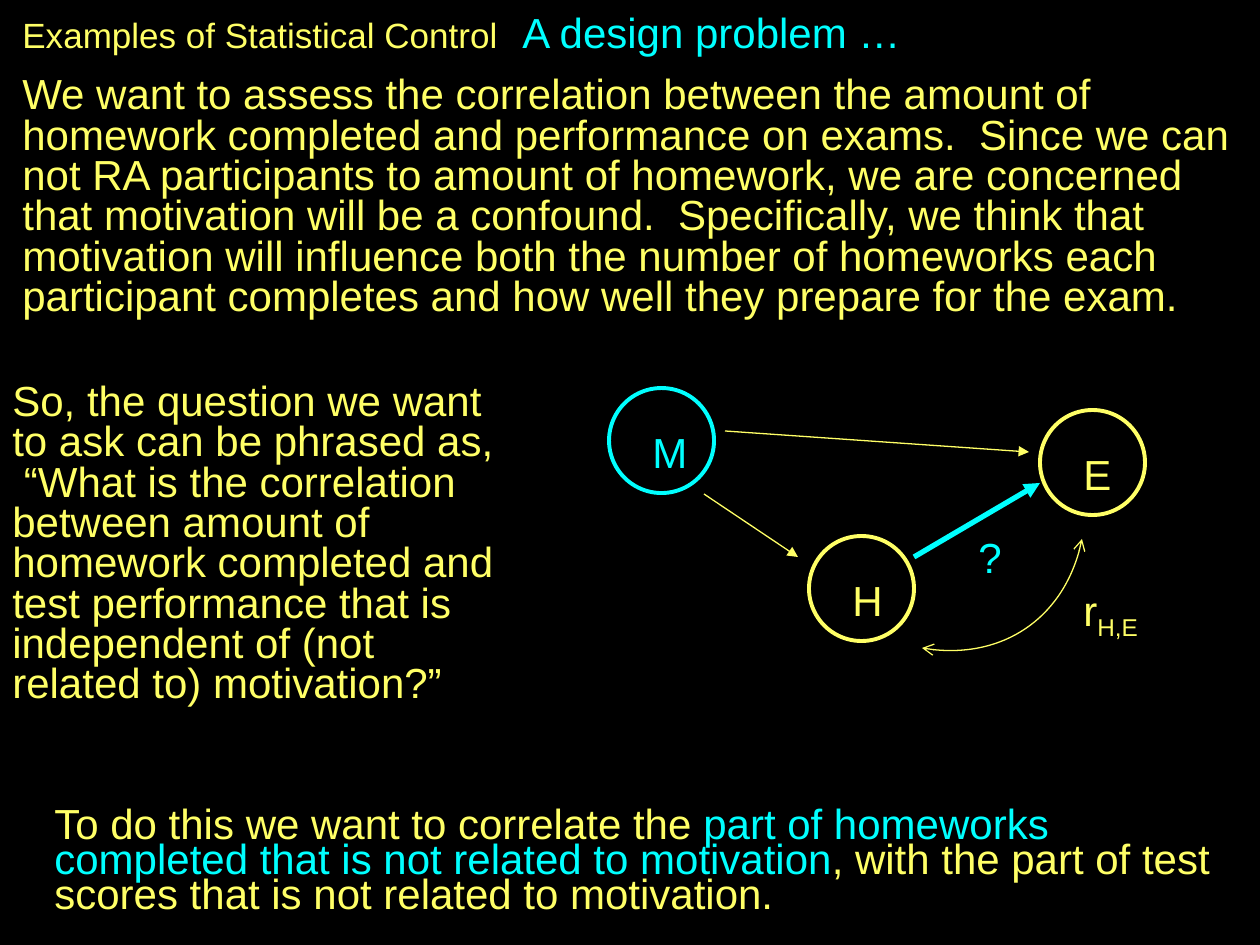
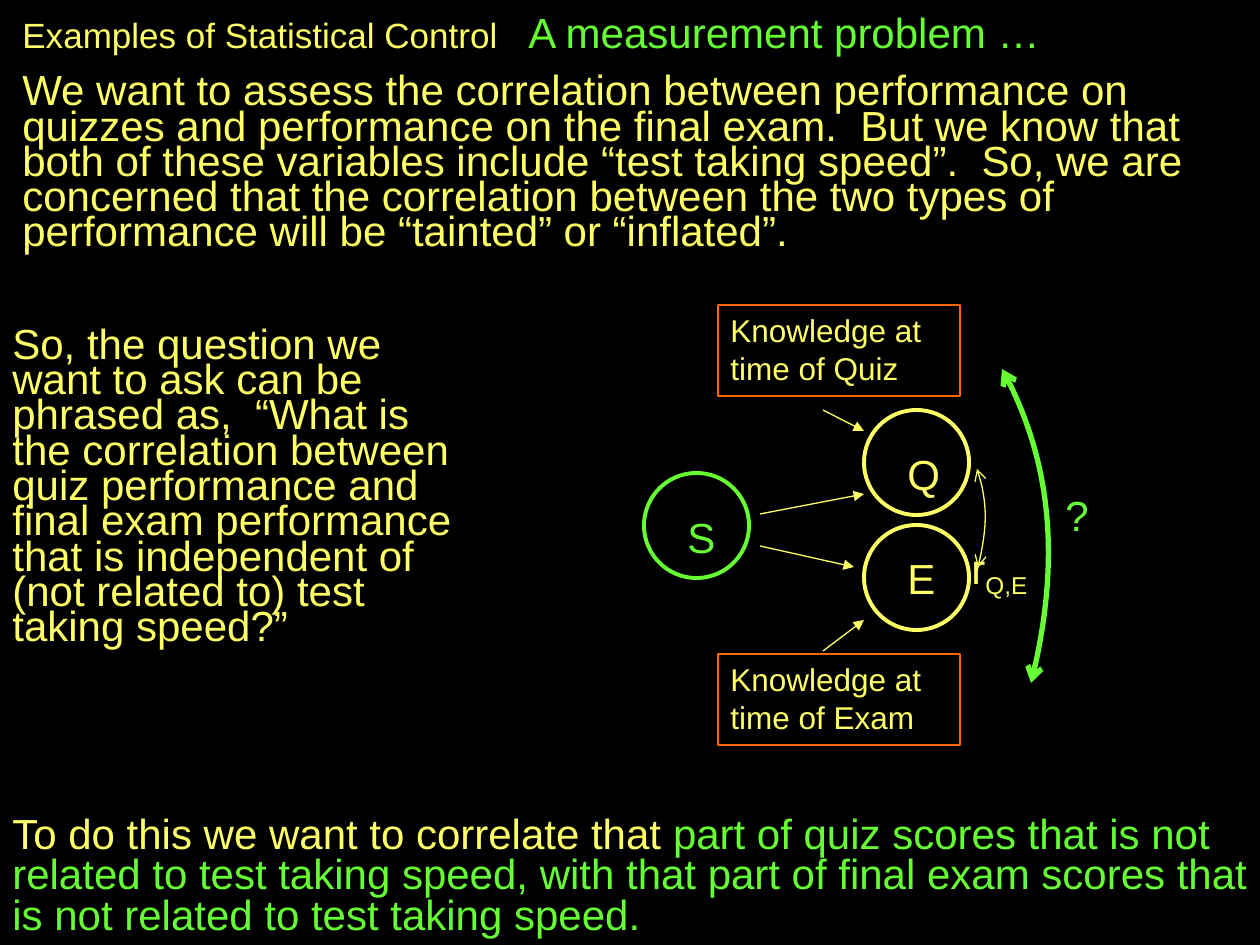
from dataclasses import dataclass, field
from typing import Any

from pptx import Presentation
from pptx import util as u
from pptx.dml.color import RGBColor
from pptx.enum import shapes, text
from pptx.oxml.ns import qn
from lxml import etree

SCALE = 914400 / 126
WIDTH, HEIGHT = 1260, 945
CIRCLE = 105
COLORS = {
    "black": "000000",
    "yellow": "FFFF66",
    "cyan": "00FFFF",
    "green": "66FF33",
    "orange": "FF6600",
}


def px(length):
    return u.Emu(round(length * SCALE))


def color(name):
    return RGBColor.from_string(COLORS[name])


def write(para, words, size=24, ink="yellow", baseline=0):
    span = para.add_run()
    span.text = words
    span.font.name = "Arial"
    span.font.size = u.Pt(size)
    span.font.color.rgb = color(ink)
    if baseline:
        span.font._element.set("baseline", str(baseline * 1000))


@dataclass
class Sheet:
    deck: Any
    accent: str = "cyan"
    page: Any = field(default=None)

    def start(self, accent):
        self.accent = accent
        self.page = self.deck.slides.add_slide(self.deck.slide_layouts[6])
        self.page.background.fill.solid()
        self.page.background.fill.fore_color.rgb = color("black")

    def frame(self, box):
        body = box.text_frame
        body.word_wrap = True
        body.auto_size = text.MSO_AUTO_SIZE.SHAPE_TO_FIT_TEXT
        body.vertical_anchor = text.MSO_ANCHOR.TOP
        para = body.paragraphs[0]
        para.alignment = text.PP_ALIGN.LEFT
        return para

    def box(self, left, top, width, height, spacing=None):
        box = self.page.shapes.add_textbox(px(left), px(top), px(width), px(height))
        para = self.frame(box)
        para.line_spacing = spacing
        return para

    def heading(self, title, stop, intro, spacing, height):
        para = self.box(10, 0, 1250, height)
        tabs = etree.SubElement(para._p.get_or_add_pPr(), qn("a:tabLst"))
        etree.SubElement(tabs, qn("a:tab"), pos=str(px(stop)), algn="l")
        write(para, "Examples of Statistical Control\t", size=20)
        write(para, title, ink=self.accent)
        body = self.page.shapes[-1].text_frame.add_paragraph()
        body.line_spacing = spacing
        body.space_before = u.Pt(12)
        write(body, intro)

    def outline(self, kind, left, top, width, height, ink, weight):
        shape = self.page.shapes.add_shape(
            kind, px(left), px(top), px(width), px(height))
        shape.shadow.inherit = False
        shape.fill.background()
        shape.line.color.rgb = color(ink)
        shape.line.width = u.Pt(weight)
        return shape

    def variable(self, letter, left, top, ink="yellow", drop=32):
        self.outline(shapes.MSO_SHAPE.OVAL, left, top, CIRCLE, CIRCLE, ink, 2.25)
        write(self.box(left + 31, top + drop, 42, 63), letter, ink=ink)

    def knowledge(self, words, top):
        shape = self.outline(
            shapes.MSO_SHAPE.RECTANGLE, 718, top, 242, 91, "orange", 1.5)
        write(self.frame(shape), words, size=18)

    def correlation(self, pair, left, top, width):
        para = self.box(left, top, width, 63)
        write(para, "r")
        write(para, pair, baseline=-25)

    def stroke(self, shape, ink, weight, **ends):
        shape.line.color.rgb = color(ink)
        shape.line.width = u.Pt(weight)
        line = shape._element.spPr.find(qn("a:ln"))
        for end, style in ends.items():
            etree.SubElement(line, qn(f"a:{end}"), type=style)

    def arrow(self, start, end, ink="yellow", weight=0.75):
        line = self.page.shapes.add_connector(
            shapes.MSO_CONNECTOR.STRAIGHT, *map(px, start + end))
        self.stroke(line, ink, weight, tailEnd="triangle")
        etree.SubElement(line._element.spPr, qn("a:effectLst"))

    def curve(self, start, *points, ink="yellow", weight=0.75):
        builder = self.page.shapes.build_freeform(*start, scale=SCALE)
        builder.add_line_segments(points, close=False)
        shape = builder.convert_to_shape()
        path = shape._element.find(".//" + qn("a:path"))
        bezier = etree.SubElement(path, qn("a:cubicBezTo"))
        for segment in path.findall(qn("a:lnTo")):
            bezier.append(segment[0])
            path.remove(segment)
        shape.shadow.inherit = False
        shape.fill.background()
        self.stroke(shape, ink, weight, headEnd="arrow", tailEnd="arrow")


def design_problem(sheet):
    sheet.start("cyan")
    sheet.heading(
        "A design problem …", 500,
        "We want to assess the correlation between the amount of homework "
        "completed and performance on exams.  Since we can not RA participants "
        "to amount of homework, we are concerned that motivation will be a "
        "confound.  Specifically, we think that motivation will influence both "
        "the number of homeworks each participant completes and how well they "
        "prepare for the exam.", 0.8, 330)
    write(sheet.box(0, 378, 514, 335, 0.8),
          "So, the question we want to ask can be phrased as,  “What is the "
          "correlation between amount of homework completed and test performance "
          "that is independent of (not related to) motivation?”")
    goal = sheet.box(42, 805, 1197, 118, 0.7)
    write(goal, "To do this we want to correlate the ")
    write(goal, "part of homeworks completed that is not related to motivation",
          ink=sheet.accent)
    write(goal, ", with the part of test scores that is not related to motivation.")

    sheet.variable("E", 1040, 410)
    sheet.variable("H", 809, 536)
    sheet.variable("M", 609, 388, sheet.accent)
    sheet.arrow((725, 431), (1029, 452))
    sheet.arrow((704, 494), (798, 557))
    sheet.arrow((914, 557), (1040, 483), sheet.accent, 3)
    sheet.correlation("H,E", 1071, 578, 116)
    sheet.curve((1082, 539), (1068, 614), (997, 662), (922, 648))
    write(sheet.box(966, 525, 53, 63), "?", ink=sheet.accent)


def measurement_problem(sheet):
    sheet.start("green")
    sheet.heading(
        "A measurement problem …", 506,
        "We want to assess the correlation between performance on quizzes and "
        "performance on the final exam.  But we know that both of these variables "
        "include “test taking speed”.  So, we are concerned that the correlation "
        "between the two types of performance will be “tainted” or “inflated”.",
        0.7, 265)
    goal = sheet.box(0, 811, WIDTH, 134, 0.8)
    write(goal, "To do this we want to correlate that ")
    write(goal, "part of quiz scores that is not related to test taking speed, with "
          "that part of final exam scores that is not related to test taking speed.",
          ink=sheet.accent)
    write(sheet.box(0, 325, 483, 330, 0.7),
          "So, the question we want to ask can be phrased as,  “What is the "
          "correlation between quiz performance and final exam performance that is "
          "independent of (not related to) test taking speed?”")

    sheet.variable("Q", 864, 410)
    sheet.variable("E", 864, 525, drop=21)
    sheet.curve((977, 469), (987, 496), (987, 533), (978, 567))
    sheet.correlation("Q,E", 959, 536, 95)
    sheet.variable("S", 644, 473, sheet.accent)
    sheet.knowledge("Knowledge at time of Quiz", 305)
    sheet.knowledge("Knowledge at time of Exam", 654)
    for start, end in (
        ((760, 514), (864, 494)),
        ((760, 546), (854, 567)),
        ((823, 410), (864, 431)),
        ((823, 651), (864, 620)),
    ):
        sheet.arrow(start, end)
    sheet.curve((1002, 369), (1050, 455), (1060, 570), (1031, 683),
                ink=sheet.accent, weight=3)
    write(sheet.box(1053, 483, 50, 63), "?", ink=sheet.accent)


def main():
    deck = Presentation()
    deck.slide_width, deck.slide_height = px(WIDTH), px(HEIGHT)
    sheet = Sheet(deck)
    design_problem(sheet)
    measurement_problem(sheet)
    deck.save("out.pptx")


if __name__ == "__main__":
    main()
